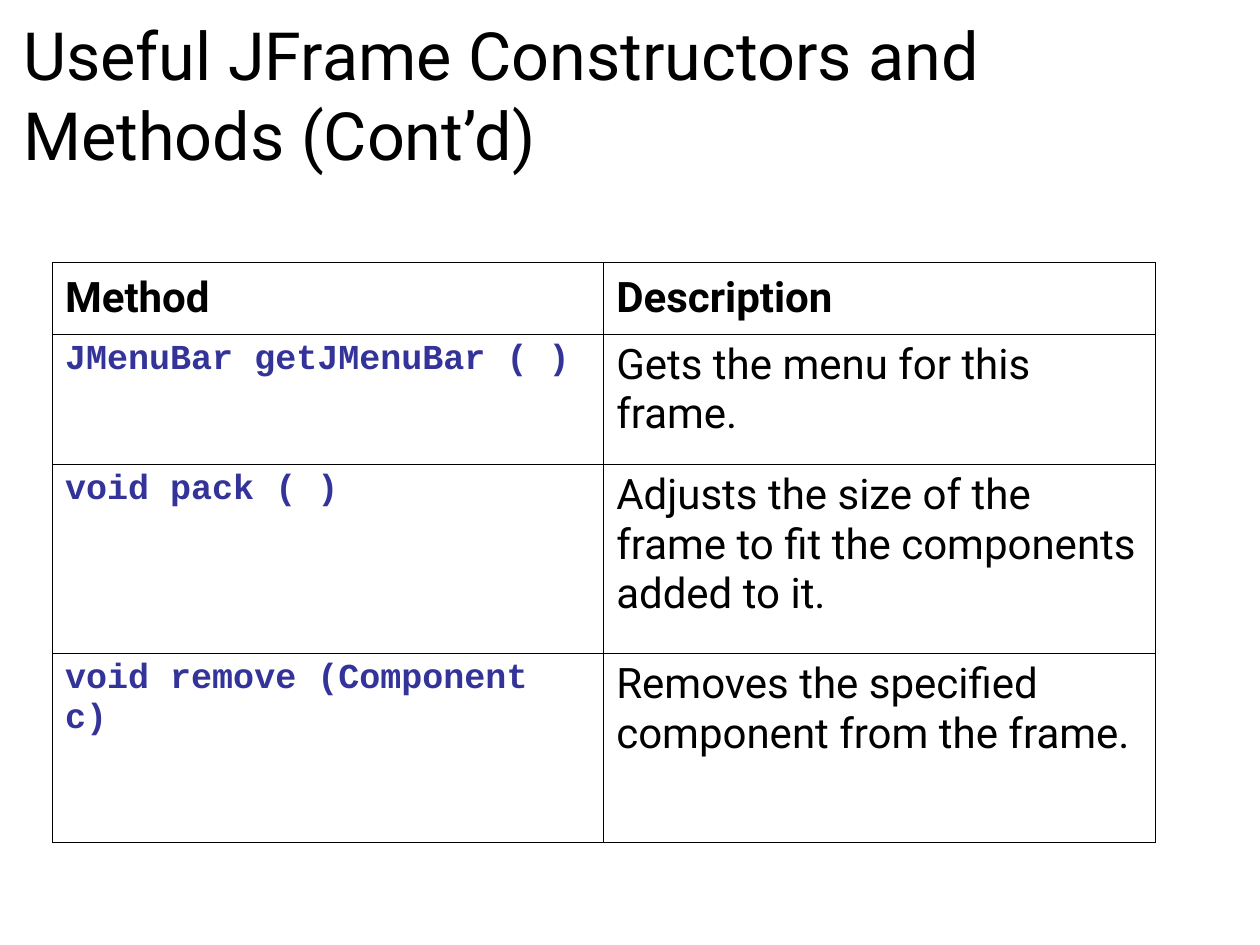
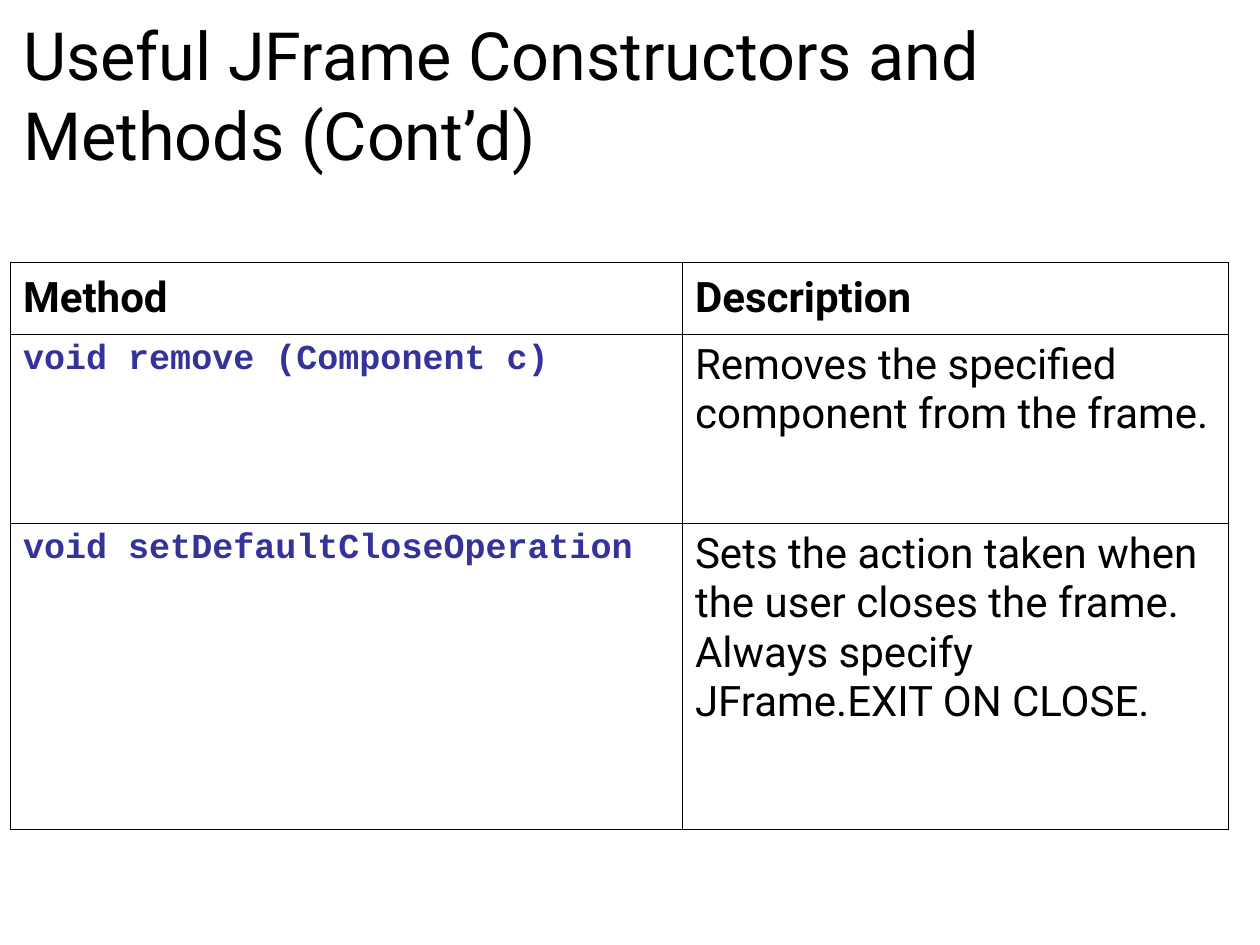
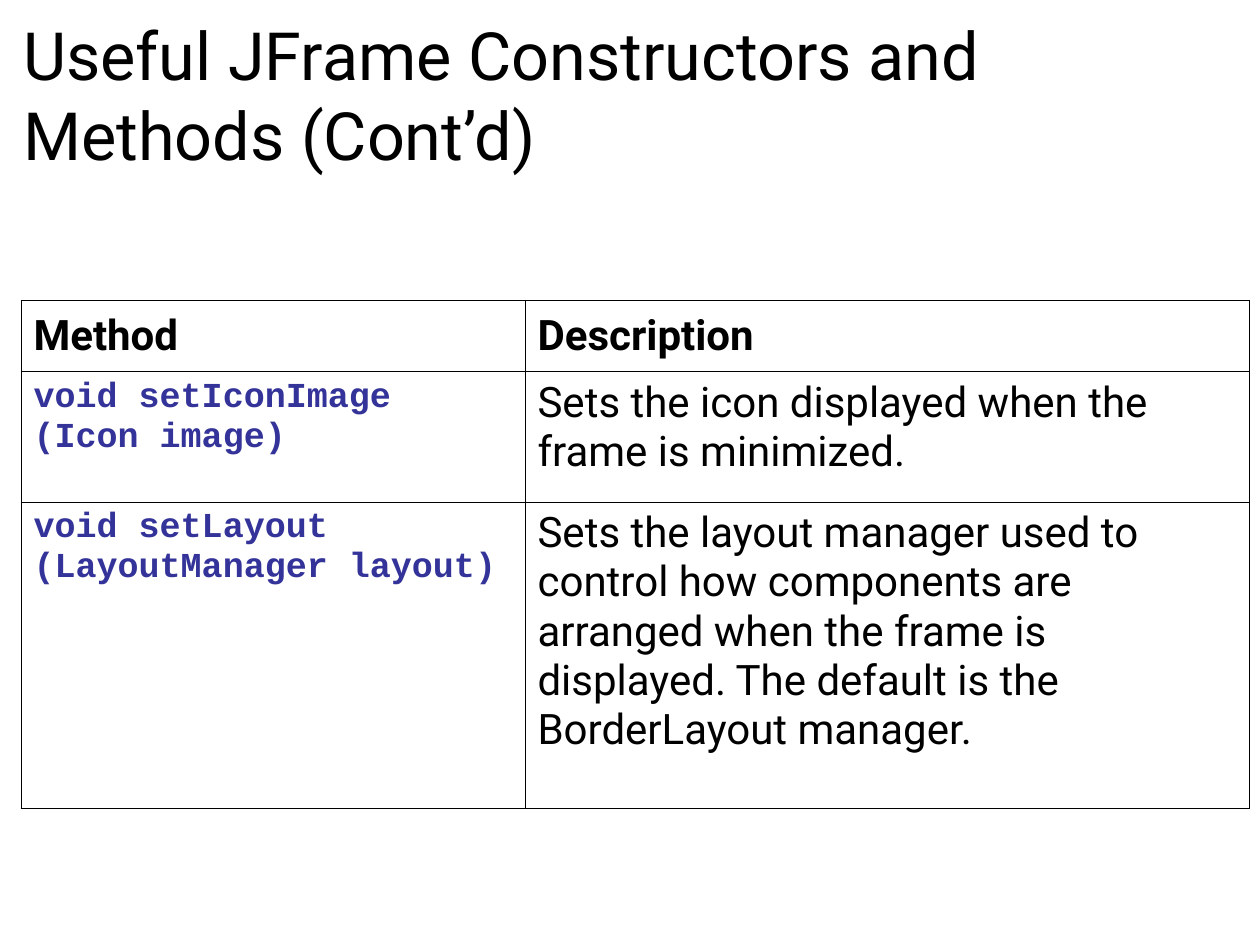
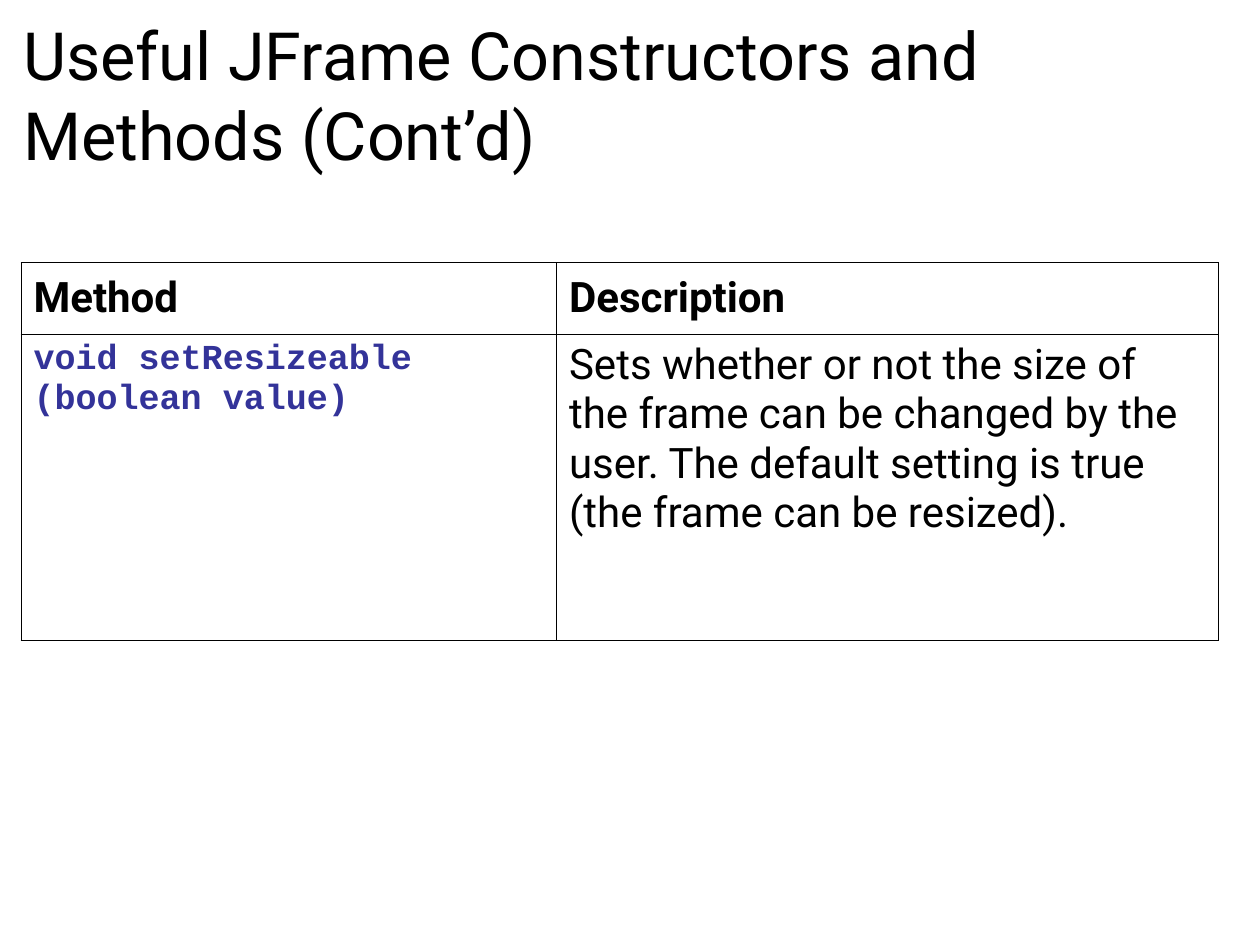
from dataclasses import dataclass
from lxml.etree import SubElement
from pptx import Presentation
from pptx.dml.color import RGBColor
from pptx.enum.text import MSO_ANCHOR, MSO_AUTO_SIZE, PP_ALIGN
from pptx.oxml.ns import qn
from pptx.util import Pt

# Content: place, column widths and rows (height, method, description)
TITLE = "Useful JFrame Constructors and Methods (Cont’d)"
HEAD = (41, "Method", "Description")
REMOVE = (108, "void remove (Component c)",
          "Removes the specified component from the frame.")
PAGES = [
    {"at": (30, 150), "cols": (315, 315), "rows": [
        (74.4, "JMenuBar getJMenuBar ( )", "Gets the menu for this frame."),
        (108, "void pack ( )",
         "Adjusts the size of the frame to fit the components added to it."),
        REMOVE,
    ]},
    {"at": (6, 150), "cols": (384, 312), "rows": [
        REMOVE,
        (175, "void setDefaultCloseOperation",
         "Sets the action taken when the user closes the frame. "
         "Always specify JFrame.EXIT ON CLOSE."),
    ]},
    {"at": (12, 171.5), "cols": (288, 414), "rows": [
        (74.4, "void setIconImage (Icon image)",
         "Sets the icon displayed when the frame is minimized."),
        (175, "void setLayout\n(LayoutManager layout)",
         "Sets the layout manager used to control how components are arranged "
         "when the frame is displayed. The default is the BorderLayout manager."),
    ]},
    {"at": (12, 150), "cols": (306, 378), "rows": [
        (175, "void setResizeable\n(boolean value)",
         "Sets whether or not the size of the frame can be changed by the user. "
         "The default setting is true (the frame can be resized)."),
    ]},
]


# Theme: each text style is font, size, colour, bold
@dataclass(frozen=True)
class Theme:
    title: tuple = ("Roboto", 38, "000000", False)
    head: tuple = ("Roboto", 24, "000000", True)
    code: tuple = ("Courier New", 20, "333399", True)
    body: tuple = ("Roboto", 24, "000000", False)
    rule: str = "000000"
    width: float = 0.45


THEME = Theme()


def write(frame, text, style):
    """Fill a text frame and format its runs."""
    face, size, tint, bold = style
    frame.text = text
    for para in frame.paragraphs:
        para.alignment = PP_ALIGN.LEFT
        for run in para.runs:
            font = run.font
            font.name, font.size, font.bold = face, Pt(size), bold
            font.color.rgb = RGBColor.from_string(tint)


def rule(cell):
    """Draw a thin line on all four sides of a cell."""
    props = cell._tc.get_or_add_tcPr()
    for side in ("lnL", "lnR", "lnT", "lnB"):
        line = SubElement(props, qn(f"a:{side}"), w=str(Pt(THEME.width)))
        fill = SubElement(line, qn("a:solidFill"))
        SubElement(fill, qn("a:srgbClr"), val=THEME.rule)


def add_title(slide):
    title = slide.shapes.title
    title.left, title.top = Pt(6), Pt(4.5)
    title.width, title.height = Pt(594), Pt(113)
    frame = title.text_frame
    write(frame, TITLE, THEME.title)
    frame.word_wrap = True
    frame.auto_size = MSO_AUTO_SIZE.NONE
    frame.vertical_anchor = MSO_ANCHOR.TOP


def add_grid(slide, page):
    rows = [HEAD] + page["rows"]
    cols = page["cols"]
    left, top = page["at"]
    high = sum(row[0] for row in rows)
    table = slide.shapes.add_table(len(rows), len(cols), Pt(left), Pt(top),
                                   Pt(sum(cols)), Pt(high)).table
    table.first_row = table.horz_banding = False
    for col, wide in zip(table.columns, cols):
        col.width = Pt(wide)
    for r, (tall, *texts) in enumerate(rows):
        table.rows[r].height = Pt(tall)
        styles = (THEME.code, THEME.body) if r else (THEME.head, THEME.head)
        for c, (text, style) in enumerate(zip(texts, styles)):
            cell = table.cell(r, c)
            write(cell.text_frame, text, style)
            cell.vertical_anchor = MSO_ANCHOR.TOP if r else MSO_ANCHOR.MIDDLE
            rule(cell)
            cell.fill.background()


def main():
    deck = Presentation()
    deck.slide_width, deck.slide_height = Pt(720), Pt(540)
    for page in PAGES:
        slide = deck.slides.add_slide(deck.slide_layouts[5])
        add_title(slide)
        add_grid(slide, page)
    deck.save("out.pptx")


if __name__ == "__main__":
    main()
